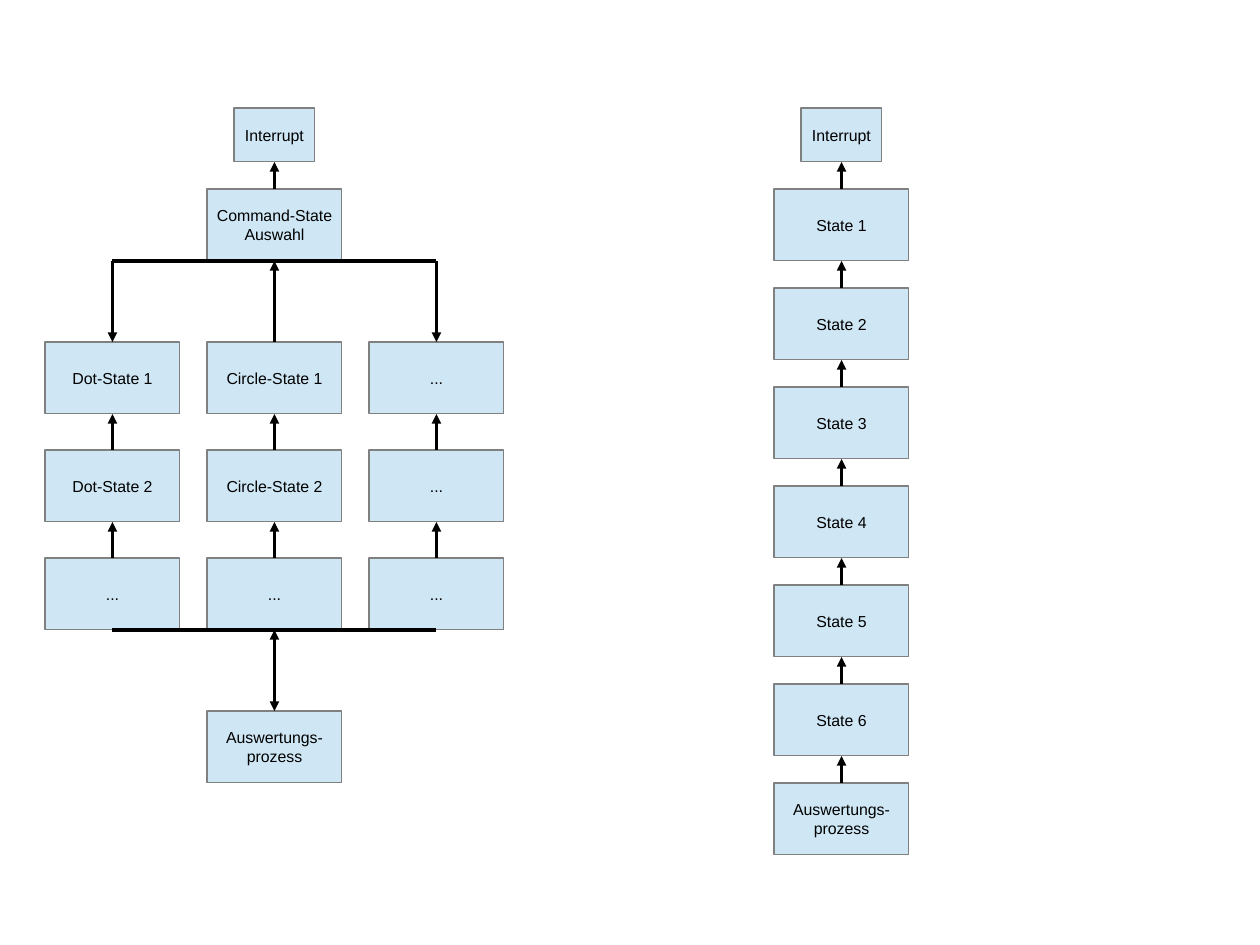
from dataclasses import dataclass
from itertools import pairwise

from lxml.etree import SubElement
from pptx import Presentation
from pptx.dml.color import RGBColor
from pptx.enum.shapes import MSO_CONNECTOR, MSO_SHAPE
from pptx.enum.text import MSO_ANCHOR, PP_ALIGN
from pptx.oxml.ns import qn
from pptx.shapes.autoshape import Shape
from pptx.shapes.connector import Connector
from pptx.slide import Slide
from pptx.util import Cm, Pt

TOP, BOTTOM = 0, 2
BOX_WIDTH, BOX_HEIGHT = 3.0, 1.6
INTERRUPT_WIDTH, INTERRUPT_HEIGHT = 1.8, 1.2
INTERRUPT_TOP, FIRST_TOP = 2.4, 4.2
COMMAND_CENTER, CHAIN_CENTER = 6.1, 18.7
COLUMN_STEP = 3.6
STATE_TOP, STATE_STEP = 7.6, 2.4
EVALUATION_TOP = 15.8
CHAIN_STEP = 2.2

EVALUATION = "Auswertungs-\nprozess"
STATE_COLUMNS = [
    ["Dot-State 1", "Dot-State 2", "..."],
    ["Circle-State 1", "Circle-State 2", "..."],
    ["...", "...", "..."],
]
FRAME_FORMAT = {"word_wrap": False, "vertical_anchor": MSO_ANCHOR.MIDDLE}
FONT_FORMAT = {"name": "Arial", "size": Pt(10)}


@dataclass
class Node:
    """A labelled box, placed by its horizontal centre and top in cm."""
    text: str
    center: float
    top: float
    width: float = BOX_WIDTH
    height: float = BOX_HEIGHT


def color(value: str) -> RGBColor:
    return RGBColor.from_string(value)


def apply_format(target: object, values: dict) -> None:
    for name, value in values.items():
        setattr(target, name, value)


def draw_node(page: Slide, node: Node) -> Shape:
    box = page.shapes.add_shape(
        MSO_SHAPE.RECTANGLE, Cm(node.center - node.width / 2), Cm(node.top),
        Cm(node.width), Cm(node.height))
    box.shadow.inherit = False
    box.fill.solid()
    box.fill.fore_color.rgb = color("CFE7F5")
    box.line.color.rgb = color("808080")
    box.line.width = Pt(0)
    frame = box.text_frame
    apply_format(frame, FRAME_FORMAT)
    frame.text = node.text
    for para in frame.paragraphs:
        para.alignment = PP_ALIGN.CENTER
        for span in para.runs:
            apply_format(span.font, FONT_FORMAT)
            span.font.color.rgb = color("000000")
    return box


def draw_interrupt(page: Slide, center: float) -> Shape:
    return draw_node(page, Node("Interrupt", center, INTERRUPT_TOP,
                                INTERRUPT_WIDTH, INTERRUPT_HEIGHT))


def draw_line(page: Slide, start: tuple[float, float], end: tuple[float, float],
              heads: tuple[str, ...] = ()) -> Connector:
    """Draw a black hairline; heads may hold headEnd (start) and tailEnd (end)."""
    line = page.shapes.add_connector(
        MSO_CONNECTOR.STRAIGHT, *(Cm(value) for value in (*start, *end)))
    line.line.color.rgb = color("000000")
    line.line.width = Pt(0)
    outline = line.line._get_or_add_ln()
    for head in heads:
        SubElement(outline, qn(f"a:{head}"), type="triangle")
    SubElement(line._element.spPr, qn("a:effectLst"))
    return line


def draw_up_arrow(page: Slide, lower: Shape, upper: Shape,
                  heads: tuple[str, ...] = ("tailEnd",)) -> None:
    arrow = draw_line(page, (0, 0), (0, 0), heads)
    arrow.begin_connect(lower, TOP)
    arrow.end_connect(upper, BOTTOM)


def draw_chain(page: Slide, boxes: list[Shape]) -> None:
    """Join boxes listed from top to bottom with upward arrows."""
    for upper, lower in pairwise(boxes):
        draw_up_arrow(page, lower, upper)


def draw_command_states(page: Slide) -> None:
    centers = [COMMAND_CENTER + (index - 1) * COLUMN_STEP for index in range(3)]
    interrupt = draw_interrupt(page, COMMAND_CENTER)
    selection = draw_node(
        page, Node("Command-State\nAuswahl", COMMAND_CENTER, FIRST_TOP))
    columns = [
        [draw_node(page, Node(text, center, STATE_TOP + row * STATE_STEP))
         for row, text in enumerate(texts)]
        for center, texts in zip(centers, STATE_COLUMNS)
    ]
    evaluation = draw_node(page, Node(EVALUATION, COMMAND_CENTER, EVALUATION_TOP))

    for column in columns:
        draw_chain(page, column)
    left, middle, right = columns
    draw_chain(page, [interrupt, selection, middle[0]])
    draw_up_arrow(page, evaluation, middle[-1], ("headEnd", "tailEnd"))

    upper_rail = FIRST_TOP + BOX_HEIGHT
    lower_rail = STATE_TOP + 2 * STATE_STEP + BOX_HEIGHT
    for height in (upper_rail, lower_rail):
        draw_line(page, (centers[0], height), (centers[-1], height))
    for center, column in ((centers[0], left), (centers[-1], right)):
        arrow = draw_line(page, (center, upper_rail), (center, STATE_TOP), ("tailEnd",))
        arrow.end_connect(column[0], TOP)


def draw_state_chain(page: Slide) -> None:
    texts = [f"State {number}" for number in range(1, 7)] + [EVALUATION]
    boxes = [draw_node(page, Node(text, CHAIN_CENTER, FIRST_TOP + row * CHAIN_STEP))
             for row, text in enumerate(texts)]
    draw_chain(page, [draw_interrupt(page, CHAIN_CENTER), *boxes])


def main() -> None:
    deck = Presentation()
    deck.slide_width, deck.slide_height = Cm(28), Cm(21)
    page = deck.slides.add_slide(deck.slide_layouts[6])
    draw_command_states(page)
    draw_state_chain(page)
    deck.save("out.pptx")


if __name__ == "__main__":
    main()
